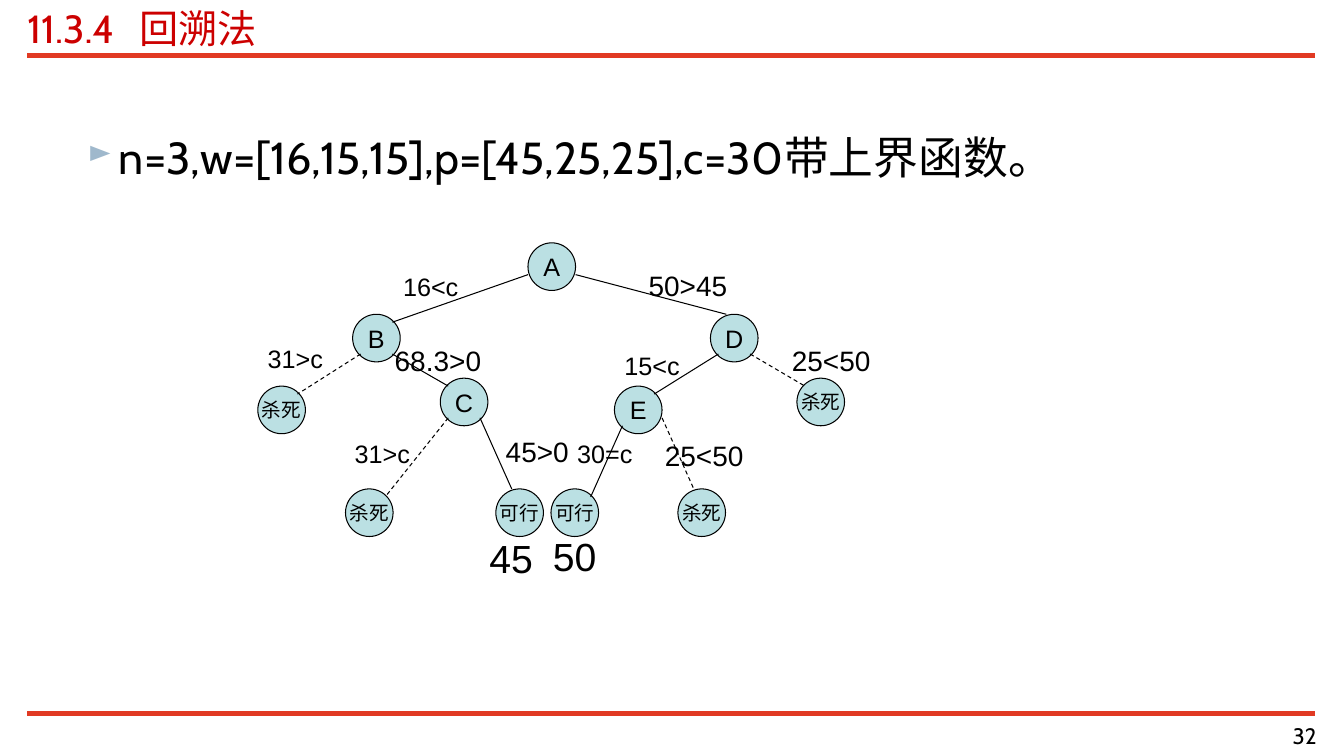
"""Builds the backtracking slide with a bounded knapsack search tree."""
from lxml.etree import SubElement
from pptx import Presentation
from pptx.dml.color import RGBColor
from pptx.enum.dml import MSO_LINE_DASH_STYLE as Dash
from pptx.enum.shapes import MSO_CONNECTOR as Connector, MSO_SHAPE as Shape
from pptx.enum.text import MSO_ANCHOR as Anchor, MSO_AUTO_SIZE as AutoSize, PP_ALIGN as Align
from pptx.oxml.ns import qn
from pptx.util import Cm, Pt

COLORS = {"rule": "E13A23", "title": "CC0000", "ink": "000000",
          "node": "BBE0E3", "bullet": "9FB8CC"}
HEADING = "11.3.4\t回溯法"
PROBLEM = "n=3,w=[16,15,15],p=[45,25,25],c=30带上界函数。"
PAGE = "32"

MARGIN, CONTENT_WIDTH = 0.69, 32.46
INSETS = (0.25, 0.13)
RULES = [(1.4, 4), (17.98, 3)]

DIAMETER = 1.2
NODES = {
    "A": ("A", 13.31, 6.12),
    "B": ("B", 8.89, 7.92),
    "D": ("D", 17.91, 7.92),
    "B0": ("杀死", 6.5, 9.73),
    "C": ("C", 11.1, 9.53),
    "C0": ("杀死", 8.71, 12.32),
    "C1": ("可行", 12.5, 12.32),
    "E": ("E", 15.49, 9.73),
    "D1": ("杀死", 20.09, 9.53),
    "E0": ("可行", 13.89, 12.32),
    "E1": ("杀死", 17.09, 12.32),
}
ANCHORS = {"w": (0, 0.8), "e": (1.2, 0.8), "sw": (0.2, 1), "se": (1, 1),
           "nw": (0.2, 0.2), "ne": (1, 0.2), "n": (0.4, 0)}
BRANCHES = [
    ("A", "w", "B", "ne", False),
    ("A", "e", "D", "n", False),
    ("B", "sw", "B0", "ne", True),
    ("B", "se", "C", "nw", False),
    ("C", "sw", "C0", "ne", True),
    ("C", "se", "C1", "n", False),
    ("D", "sw", "E", "ne", False),
    ("D", "se", "D1", "nw", True),
    ("E", "sw", "E0", "ne", False),
    ("E", "e", "E1", "n", True),
]
LABEL_HEIGHTS = {18: 1.02, 20: 1.12, 28: 1.45}
LABELS = [
    ("45", 28, 12.09, 13.34, 2),
    ("50", 28, 13.69, 13.28, 1.8),
    ("31>c", 18, 6.5, 8.53, 2),
    ("68.3>0", 20, 9.7, 8.53, 3.4),
    ("50>45", 20, 16.1, 6.63, 3.8),
    ("45>0", 20, 12.5, 10.82, 2.4),
    ("25<50", 20, 16.51, 10.92, 3.8),
    ("25<50", 20, 19.71, 8.53, 3.8),
    ("31>c", 18, 8.69, 10.92, 2),
    ("16<c", 18, 9.91, 6.71, 2),
    ("15<c", 18, 15.49, 8.71, 2),
    ("30=c", 18, 14.3, 10.92, 2),
]


def rgb(name):
    return RGBColor.from_string(COLORS[name])


def write(holder, text, size, font="Arial", color="ink", align=Align.LEFT,
          anchor=Anchor.TOP, insets=INSETS, wrap=True, bullet=None, tab=None):
    frame = holder.text_frame
    frame.auto_size, frame.word_wrap = AutoSize.NONE, wrap
    frame.vertical_anchor = anchor
    frame.margin_left = frame.margin_right = Cm(insets[0])
    frame.margin_top = frame.margin_bottom = Cm(insets[1])
    frame.text = text
    paragraph = frame.paragraphs[0]
    paragraph.alignment = align
    props = paragraph._p.get_or_add_pPr()
    if bullet:
        paragraph.level = 1
        props.set("marL", str(Cm(2.06)))
        props.set("indent", str(-Cm(0.79)))
        bullet_color = SubElement(props, qn("a:buClr"))
        SubElement(bullet_color, qn("a:srgbClr"), val=COLORS["bullet"])
        SubElement(props, qn("a:buSzPct"), val="70000")
        SubElement(props, qn("a:buChar"), char=bullet)
    if tab:
        stops = SubElement(props, qn("a:tabLst"))
        SubElement(stops, qn("a:tab"), pos=str(Cm(tab)), algn="l")
    run_font = paragraph.runs[0].font
    run_font.name, run_font.size, run_font.bold = font, Pt(size), False
    run_font.color.rgb = rgb(color)


def add_line(slide, start, end, color="ink", width=0.75, dashed=False):
    line = slide.shapes.add_connector(
        Connector.STRAIGHT, *(Cm(value) for value in (*start, *end)))
    line.line.color.rgb, line.line.width = rgb(color), Pt(width)
    if dashed:
        line.line.dash_style = Dash.DASH
    SubElement(line._element.spPr, qn("a:effectLst"))


def add_text(slide, text, size, left, top, width, height, **style):
    box = slide.shapes.add_textbox(Cm(left), Cm(top), Cm(width), Cm(height))
    write(box, text, size, **style)


def add_node(slide, name, left, top):
    node = slide.shapes.add_shape(
        Shape.OVAL, Cm(left), Cm(top), Cm(DIAMETER), Cm(DIAMETER))
    node.shadow.inherit = False
    node.fill.solid()
    node.fill.fore_color.rgb = rgb("node")
    node.line.color.rgb, node.line.width = rgb("ink"), Pt(0.75)
    write(node, name, 18 if len(name) == 1 else 14,
          align=Align.CENTER, anchor=Anchor.MIDDLE, wrap=False)


def anchor_point(key, side):
    _, left, top = NODES[key]
    across, down = ANCHORS[side]
    return left + across, top + down


def main():
    deck = Presentation()
    deck.slide_width, deck.slide_height = Cm(33.88), Cm(19.05)
    slide = deck.slides.add_slide(deck.slide_layouts[5])

    title = slide.shapes.title
    title.left, title.top = Cm(MARGIN), Cm(0.1)
    title.width, title.height = Cm(CONTENT_WIDTH), Cm(1.19)
    write(title, HEADING, 28, font="Cabin", color="title", insets=(0, 0), tab=2.83)
    for y, width in RULES:
        add_line(slide, (MARGIN, y), (MARGIN + CONTENT_WIDTH, y), "rule", width)
    add_text(slide, PROBLEM, 32, MARGIN, 3.15, CONTENT_WIDTH, 1.8,
             font="Cabin", bullet="►")

    for node in NODES.values():
        add_node(slide, *node)
    for parent, start, child, end, dashed in BRANCHES:
        add_line(slide, anchor_point(parent, start), anchor_point(child, end),
                 dashed=dashed)
    for text, size, left, top, width in LABELS:
        add_text(slide, text, size, left, top, width, LABEL_HEIGHTS[size])
    add_text(slide, PAGE, 16, 26.39, 18.19, 6.8, 0.79, font="Cabin",
             align=Align.RIGHT, insets=(0, 0))
    deck.save("out.pptx")


if __name__ == "__main__":
    main()
